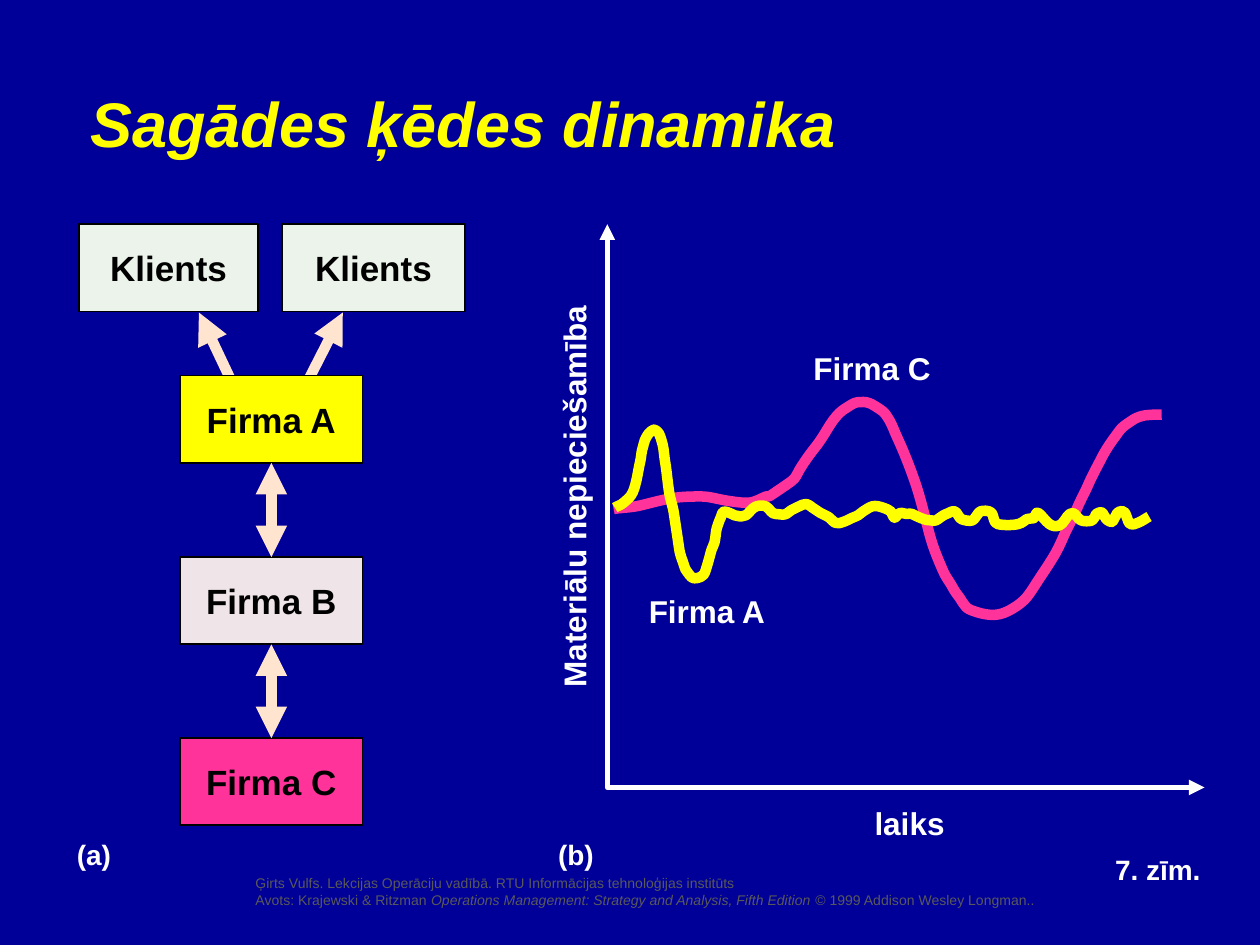
from lxml.etree import SubElement
from pptx import Presentation
from pptx.dml.color import RGBColor
from pptx.enum.shapes import MSO_CONNECTOR as Connector, MSO_SHAPE as Preset
from pptx.enum.text import MSO_ANCHOR as Anchor, MSO_AUTO_SIZE as AutoSize, PP_ALIGN as Align
from pptx.oxml.ns import qn
from pptx.util import Cm, Pt

THEME = {
    "font": "Arial", "background": "000099", "title": "FFFF00", "light": "FFFFFF",
    "dark": "000000", "source": "595959", "client": "ECF3EA", "firm_a": "FFFF00",
    "firm_b": "EFE4E7", "firm_c": "FF3399", "arrow": "FFE5D0",
    "title_size": 36, "box_size": 20, "chart_size": 18, "caption_size": 16, "source_size": 8,
    "thick": 6, "axis": 3, "outline": 1,
}

# Text: wording, left, top, width, height (cm), colour, size, rotation
TITLE = ("Sagādes ķēdes dinamika", 1.57, 1.57, 15.54, 1.78, "title", "title_size", 0)
LABELS = [
    ("Materiālu nepieciešamība", 7.47, 9.5, 8.2, 1.02, "light", "chart_size", 270),
    ("laiks", 17.38, 16.08, 2.1, 1.02, "light", "chart_size", 0),
    ("Firma C", 16.15, 6.91, 2.87, 1.02, "light", "chart_size", 0),
    ("Firma A", 12.83, 11.81, 2.87, 1.02, "light", "chart_size", 0),
    ("(a)", 1.3, 16.76, 1.22, 0.94, "light", "caption_size", 0),
    ("(b)", 11.0, 16.76, 1.25, 0.94, "light", "caption_size", 0),
    ("7. zīm.", 22.23, 17.06, 2.26, 0.94, "light", "caption_size", 0),
]
SOURCE_PLACE = (4.9, 17.5, 16.26, 0.94)
SOURCE_LINES = [  # runs: wording, italic
    [("Ģirts Vulfs. Lekcijas Operāciju vadībā. RTU Informācijas tehnoloģijas institūts", False)],
    [("Avots: Krajewski & Ritzman ", False),
     ("Operations Management: Strategy and Analysis, Fifth Edition", True),
     (" © 1999 Addison Wesley Longman..", False)],
]

# Supply chain: wording, left, top, width (cm), fill
BOX_HEIGHT = 1.76
CLIENTS = [("Klients", 1.6, 4.52, 3.6, "client"), ("Klients", 5.69, 4.52, 3.68, "client")]
FIRMS = [
    ("Firma A", 3.63, 7.57, 3.68, "firm_a"),
    ("Firma B", 3.63, 11.23, 3.68, "firm_b"),
    ("Firma C", 3.63, 14.88, 3.68, "firm_c"),
]
CLIENT_ARROWS = [(4.01, 6.3, 4.72, 7.8), (6.91, 6.3, 6.17, 7.75)]

# Chart: points in grid units of 0.0254 cm
GRID = Cm(0.0254)
AXES = [(482, 178), (482, 625), (956, 625)]
CURVES = {
    "firm_c": [
        (487, 404), (509, 401), (536, 395), (557, 394), (575, 397), (593, 399), (608, 394),
        (612, 393), (628, 382), (635, 372), (647, 355), (657, 340), (666, 328), (676, 321),
        (685, 319), (694, 322), (703, 329), (709, 340), (716, 356), (727, 385), (738, 425),
        (748, 452), (756, 466), (762, 475), (767, 482), (776, 486), (788, 488), (800, 485),
        (813, 476), (825, 459), (836, 442), (844, 426), (855, 403), (864, 384), (874, 364),
        (884, 348), (890, 340), (898, 334), (907, 330), (922, 329)],
    "firm_a": [
        (488, 403), (495, 399), (501, 393), (505, 382), (508, 367), (510, 356), (512, 349),
        (515, 344), (519, 341), (523, 344), (526, 353), (528, 367), (531, 390), (535, 408),
        (539, 435), (543, 449), (547, 456), (551, 459), (556, 458), (560, 453), (564, 439),
        (567, 431), (569, 419), (572, 411), (575, 406), (583, 409), (588, 410), (592, 409),
        (600, 402), (608, 402), (612, 406), (616, 408), (624, 408), (628, 405), (634, 402),
        (640, 400), (645, 403), (651, 407), (657, 410), (663, 415), (670, 414), (679, 410),
        (685, 406), (692, 402), (701, 403), (707, 406), (710, 411), (715, 407), (720, 408),
        (724, 408), (733, 412), (739, 413), (743, 413), (751, 408), (758, 406), (763, 412),
        (772, 413), (778, 406), (787, 407), (792, 416), (808, 416), (815, 412), (821, 411),
        (824, 407), (833, 416), (841, 417), (849, 408), (853, 408), (858, 413), (867, 413),
        (870, 408), (875, 407), (878, 412), (883, 414), (887, 407), (892, 406), (897, 416),
        (903, 415), (912, 410)],
}


def color(name):
    return RGBColor.from_string(THEME[name])


def style_font(paragraph, color_name, size_name, bold=True):
    font = paragraph.font
    font.name, font.size, font.bold = THEME["font"], Pt(THEME[size_name]), bold
    font.color.rgb = color(color_name)


def style_line(shape, color_name, width_name, ends=()):
    shape.line.color.rgb = color(color_name)
    shape.line.width = Pt(THEME[width_name])
    outline = shape._element.spPr.find(qn("a:ln"))
    for end in ends:
        SubElement(outline, qn(f"a:{end}"), type="triangle")


def add_text_box(slide, place):
    box = slide.shapes.add_textbox(*map(Cm, place))
    box.text_frame.word_wrap = False
    box.text_frame.auto_size = AutoSize.SHAPE_TO_FIT_TEXT
    return box


def add_label(slide, text, left, top, width, height, color_name, size_name, rotation):
    box = add_text_box(slide, (left, top, width, height))
    box.rotation = rotation
    paragraph = box.text_frame.paragraphs[0]
    paragraph.text = text
    style_font(paragraph, color_name, size_name)
    return paragraph


def add_source(slide):
    frame = add_text_box(slide, SOURCE_PLACE).text_frame
    for index, runs in enumerate(SOURCE_LINES):
        paragraph = frame.add_paragraph() if index else frame.paragraphs[0]
        style_font(paragraph, "source", "source_size", bold=False)
        for text, italic in runs:
            run = paragraph.add_run()
            run.text, run.font.italic = text, italic


def add_box(slide, text, left, top, width, fill_name):
    box = slide.shapes.add_shape(Preset.RECTANGLE, *map(Cm, (left, top, width, BOX_HEIGHT)))
    box.shadow.inherit = False
    box.fill.solid()
    box.fill.fore_color.rgb = color(fill_name)
    style_line(box, "dark", "outline")
    box.text_frame.vertical_anchor = Anchor.MIDDLE
    paragraph = box.text_frame.paragraphs[0]
    paragraph.text, paragraph.alignment = text, Align.CENTER
    style_font(paragraph, "dark", "box_size")
    return box


def add_arrow(slide, ends, points=(0, 0, 0, 0)):
    arrow = slide.shapes.add_connector(Connector.STRAIGHT, *map(Cm, points))
    style_line(arrow, "arrow", "thick", ends)
    SubElement(arrow._element.spPr, qn("a:effectLst"))
    return arrow


def add_path(slide, points, color_name, width_name, ends=()):
    builder = slide.shapes.build_freeform(*points[0], scale=GRID)
    builder.add_line_segments(points[1:], close=False)
    path = builder.convert_to_shape()
    path.shadow.inherit = False
    path.fill.background()
    style_line(path, color_name, width_name, ends)
    return path


def smooth_path(path):
    """Turn straight segments into Bezier curves through the same points."""
    steps = list(path._element.iter(qn("a:moveTo"), qn("a:lnTo")))
    points = [(int(step[0].get("x")), int(step[0].get("y"))) for step in steps]
    padded = [points[0], *points, points[-1]]
    for index, step in enumerate(steps[1:]):
        before, start, end, after = padded[index:index + 4]
        first = [s + (e - b) / 6 for b, s, e in zip(before, start, end)]
        second = [e - (a - s) / 6 for s, e, a in zip(start, end, after)]
        step.tag = qn("a:cubicBezTo")
        step.remove(step[0])
        for x, y in (first, second, end):
            SubElement(step, qn("a:pt"), x=str(round(x)), y=str(round(y)))


def main():
    presentation = Presentation()
    presentation.slide_width, presentation.slide_height = Cm(25.4), Cm(19.05)
    slide = presentation.slides.add_slide(presentation.slide_layouts[6])
    slide.background.fill.solid()
    slide.background.fill.fore_color.rgb = color("background")

    # Title and source
    add_source(slide)
    add_label(slide, *TITLE).font.italic = True

    # Supply chain; the client arrows start behind the first firm
    for client in CLIENTS:
        add_box(slide, *client)
    for points in CLIENT_ARROWS:
        add_arrow(slide, ["headEnd"], points)
    firms = [add_box(slide, *firm) for firm in FIRMS]
    for upper, lower in zip(firms, firms[1:]):
        arrow = add_arrow(slide, ["headEnd", "tailEnd"])
        arrow.begin_connect(upper, 2)
        arrow.end_connect(lower, 0)

    # Demand chart
    add_path(slide, AXES, "light", "axis", ["headEnd", "tailEnd"])
    for color_name, points in CURVES.items():
        smooth_path(add_path(slide, points, color_name, "thick"))

    # Chart labels and captions
    for label in LABELS:
        add_label(slide, *label)

    presentation.save("out.pptx")


if __name__ == "__main__":
    main()
